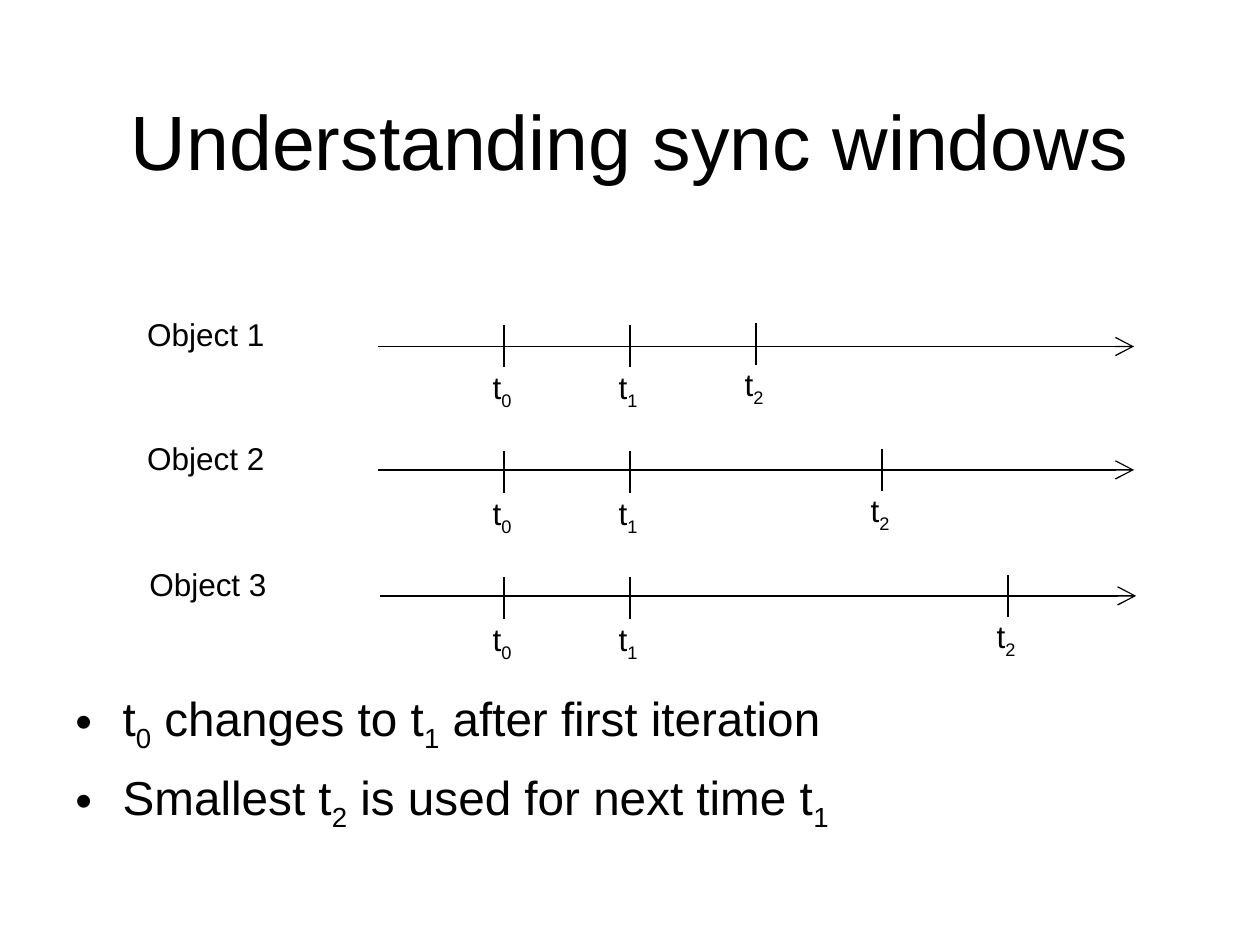
"""Build the slide on sync windows: three object timelines and two bullets."""
from lxml import etree
from pptx import Presentation
from pptx.dml.color import RGBColor
from pptx.enum.shapes import MSO_CONNECTOR
from pptx.enum.text import MSO_ANCHOR, MSO_AUTO_SIZE, PP_ALIGN
from pptx.oxml.ns import qn
from pptx.util import Pt

COLORS = {"ink": "000000", "background": "FFFFFF"}
INK = RGBColor.from_string(COLORS["ink"])

presentation = Presentation()
presentation.slide_width, presentation.slide_height = Pt(720), Pt(540)
slide = presentation.slides.add_slide(presentation.slide_layouts[6])
slide.background.fill.solid()
slide.background.fill.fore_color.rgb = RGBColor.from_string(COLORS["background"])


def add_text(left, top, width, height, paragraphs, size, align=PP_ALIGN.LEFT, wrap=False):
    """Add a text box; every second run of a paragraph is a subscript."""
    shape = slide.shapes.add_textbox(Pt(left), Pt(top), Pt(width), Pt(height))
    frame = shape.text_frame
    frame.word_wrap = wrap
    frame.auto_size = MSO_AUTO_SIZE.NONE if wrap else MSO_AUTO_SIZE.SHAPE_TO_FIT_TEXT
    for index, texts in enumerate(paragraphs):
        paragraph = frame.add_paragraph() if index else frame.paragraphs[0]
        paragraph.alignment = align
        for position, text in enumerate(texts):
            run = paragraph.add_run()
            run.text = text
            run.font.name, run.font.size = "Arial", Pt(size)
            run.font.color.rgb = INK
            if position % 2:
                run.font._element.set("baseline", "-25000")
    return frame


def add_line(x1, y1, x2, y2, arrow=False):
    """Add a thin line, with an open arrowhead at its end if asked."""
    line = slide.shapes.add_connector(MSO_CONNECTOR.STRAIGHT, Pt(x1), Pt(y1), Pt(x2), Pt(y2))
    line.line.color.rgb = INK
    line.line.width = Pt(0.75)
    if arrow:
        etree.SubElement(line.line._get_or_add_ln(), qn("a:tailEnd"), type="arrow", w="lg", len="lg")
    etree.SubElement(line._element.spPr, qn("a:effectLst"))


title = add_text(36, 48.25, 648, 63.5, [["Understanding sync windows"]], 44, PP_ALIGN.CENTER, True)
title.vertical_anchor = MSO_ANCHOR.MIDDLE

bullets = add_text(36, 390.25, 648, 92, [
    ["t", "0", " changes to t", "1", " after first iteration"],
    ["Smallest t", "2", " is used for next time t", "1"],
], 27.2, wrap=True)
for index, paragraph in enumerate(bullets.paragraphs):
    properties = paragraph._p.get_or_add_pPr()
    properties.set("marL", str(Pt(27)))
    properties.set("indent", str(Pt(-27)))
    etree.SubElement(properties, qn("a:buFont"), typeface="Arial")
    etree.SubElement(properties, qn("a:buChar"), char="•")
    if index:
        paragraph.space_before = Pt(8)

timelines = [
    ("Object 1", 0, 198, 432),
    ("Object 2", 0, 268.5, 504),
    ("Object 3", 1.25, 340.5, 576),
]
for row, (name, shift, axis, last_tick) in enumerate(timelines):
    add_line(216 + shift, axis, 648 + shift, axis, arrow=True)
    add_text(77 + shift, axis - 21.25, 82, 29, [[name]], 18)
    for number, (x, lift) in enumerate([(288, 0), (360, 0), (last_tick, 1.5)]):
        tick_top = 186 + 72 * row - lift
        add_line(x, tick_top, x, tick_top + 24)
        add_text(x - 13.75, tick_top + 20.75, 25.25, 31.75, [["t", str(number)]], 18, PP_ALIGN.CENTER)

presentation.save("out.pptx")
